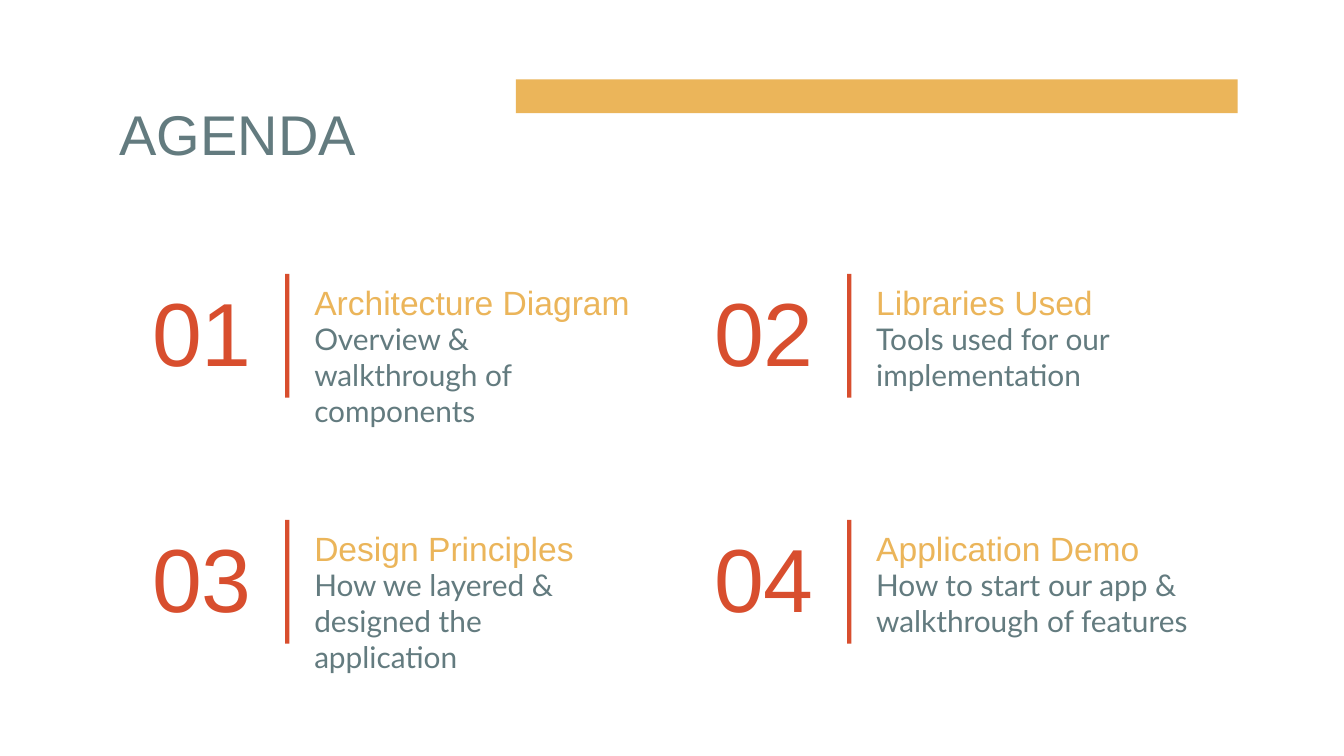
from pptx import Presentation
from pptx.dml.color import RGBColor
from pptx.enum.shapes import MSO_SHAPE
from pptx.enum.text import MSO_ANCHOR, MSO_AUTO_SIZE, PP_ALIGN
from pptx.util import Cm, Pt

RECTANGLE = MSO_SHAPE.RECTANGLE
TOP, BOTTOM = MSO_ANCHOR.TOP, MSO_ANCHOR.BOTTOM
LEFT, RIGHT = PP_ALIGN.LEFT, PP_ALIGN.RIGHT
NO_AUTOFIT = MSO_AUTO_SIZE.NONE

# Content, in reading order
TITLE = "AGENDA"
TOPICS = [
    ("Architecture Diagram", "Overview & walkthrough of components"),
    ("Libraries Used", "Tools used for our implementation"),
    ("Design Principles", "How we layered & designed the application"),
    ("Application Demo", "How to start our app & walkthrough of features"),
]

# Text styles: font, size, colour, line spacing
SLATE, GOLD, RED = "637B7F", "EBB55A", "D84E2E"
THEME = {
    "title": ("Arial", 30, SLATE, 1.1),
    "number": ("Arial", 48, RED, 1.0),
    "heading": ("Arial", 18, GOLD, 1.1),
    "body": ("Lato", 16, SLATE, 1.0),
    "bar": GOLD,
    "divider": RED,
}

# Grid, in centimetres
COLUMNS = 2
GRID_LEFT, GRID_TOP = 2.44, 5.18
COLUMN_STEP, ROW_STEP = 10.62, 4.65
ROW_HEIGHT = 2.34
BODY_WIDTHS = (6.35, 7.01)  # one for each column


def write(box, text, style, align=LEFT, anchor=TOP):
    font_name, size, color, spacing = THEME[style]
    frame = box.text_frame
    frame.text = text
    frame.word_wrap = True
    frame.auto_size = NO_AUTOFIT
    frame.vertical_anchor = anchor
    frame.margin_left = frame.margin_right = Cm(0.25)
    frame.margin_top = frame.margin_bottom = Cm(0.25)
    para = frame.paragraphs[0]
    para.alignment = align
    para.line_spacing = spacing
    para.font.name = font_name
    para.font.size = Pt(size)
    para.font.color.rgb = RGBColor.from_string(color)


def add_text(slide, left, top, width, height, *args, **options):
    box = slide.shapes.add_textbox(Cm(left), Cm(top), Cm(width), Cm(height))
    write(box, *args, **options)


def add_bar(slide, left, top, width, height, color):
    bar = slide.shapes.add_shape(
        RECTANGLE, Cm(left), Cm(top), Cm(width), Cm(height))
    bar.shadow.inherit = False
    bar.fill.solid()
    bar.fill.fore_color.rgb = RGBColor.from_string(color)
    bar.line.fill.background()


def add_topic(slide, index, heading, body):
    row, column = divmod(index, COLUMNS)
    left = GRID_LEFT + column * COLUMN_STEP
    top = GRID_TOP + row * ROW_STEP
    text_left = left + 3.25
    add_text(slide, left, top, 2.57, ROW_HEIGHT, f"{index + 1:02}", "number",
             align=RIGHT, anchor=BOTTOM)
    add_bar(slide, left + 2.95, top, 0.08, ROW_HEIGHT, THEME["divider"])
    add_text(slide, text_left, top - 0.18, 7.01, 0.94, heading, "heading")
    add_text(slide, text_left, top + 0.64, BODY_WIDTHS[column], 1.7,
             body, "body")


def main():
    deck = Presentation()
    deck.slide_width, deck.slide_height = Cm(25.4), Cm(14.29)
    slide = deck.slides.add_slide(deck.slide_layouts[5])

    # Title and accent bar
    title = slide.shapes.title
    title.left, title.top = Cm(2.01), Cm(1.5)
    title.width, title.height = Cm(8.31), Cm(1.6)
    write(title, TITLE, "title")
    add_bar(slide, 9.75, 1.5, 13.64, 0.64, THEME["bar"])

    # Numbered topics
    for index, (heading, body) in enumerate(TOPICS):
        add_topic(slide, index, heading, body)

    deck.save("out.pptx")


if __name__ == "__main__":
    main()
